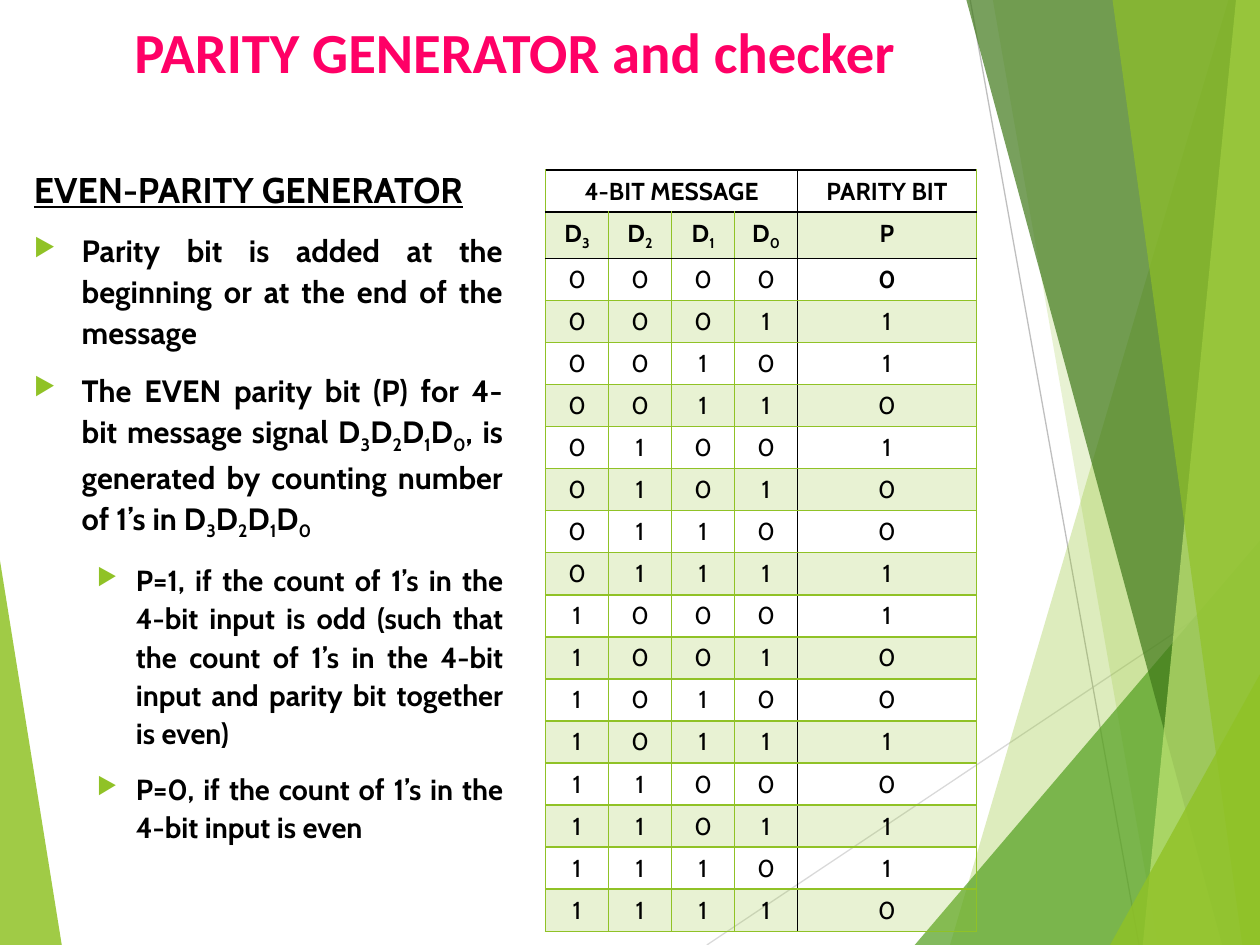
import itertools
from typing import NamedTuple

import pptx
import pptx.dml.color
import pptx.enum.shapes
import pptx.enum.text
import pptx.oxml
import pptx.oxml.ns
import pptx.util

Inches = pptx.util.Inches
Pt = pptx.util.Pt
RGBColor = pptx.dml.color.RGBColor
qn = pptx.oxml.ns.qn

LIME = RGBColor(0x90, 0xC2, 0x26)
PALE_LIME = RGBColor(0xC0, 0xE4, 0x74)
GREEN = RGBColor(0x54, 0xA0, 0x21)
DARK_GREEN = RGBColor(0x3F, 0x78, 0x19)
LIGHT_GRAY = RGBColor(0xD9, 0xD9, 0xD9)
GRAY = RGBColor(0xBF, 0xBF, 0xBF)
PINK = RGBColor(0xFF, 0x00, 0x66)
BLACK = RGBColor(0, 0, 0)

BODY_FONT = "Cabin"
BITS = 4
BLACK_ROW_EDGES = (0, 1, 2)
BLACK_COLUMN_EDGE = BITS


class Facet(NamedTuple):
    points: list[tuple[float, float]]
    color: RGBColor
    opacity: int


class Ray(NamedTuple):
    start: tuple[float, float]
    end: tuple[float, float]
    color: RGBColor


class Point(NamedTuple):
    text: str
    size: float
    level: int = 0
    indent: float = 0
    hanging: float = 0
    underline: bool = False


LEFT_FACET = Facet([(0, 4.45), (0.49, 7.5), (0, 7.5)], LIME, 85)
RAYS = [
    Ray((5.61, 7.5), (10, 4.57), LIGHT_GRAY),
    Ray((7.7, 0), (9.04, 7.5), GRAY),
]
RIGHT_FACETS = [
    Facet([(9.75, 0), (7.54, 7.5), (10, 7.5), (10, 0)], LIME, 30),
    Facet([(7.88, 0), (9.19, 7.5), (10, 7.5), (10, 0)], LIME, 20),
    Facet([(7.26, 7.5), (10, 4.29), (10, 7.5)], GREEN, 72),
    Facet([(7.67, 0), (9.7, 7.5), (10, 7.5), (10, 0)], DARK_GREEN, 70),
    Facet([(9.81, 0), (9.07, 7.5), (10, 7.5), (10, 0)], PALE_LIME, 70),
    Facet([(8.83, 0), (9.86, 7.5), (10, 7.5), (10, 0)], LIME, 65),
    Facet([(8.81, 7.5), (10, 5.35), (10, 7.5)], LIME, 80),
]

# An underscore sets the next character as a subscript.
POINTS = [
    Point("EVEN-PARITY GENERATOR", 20.4, underline=True),
    Point("Parity bit is added at the beginning or at the end of the message",
          17.6, 0, 0.38, 0.38),
    Point("The EVEN parity bit (P) for 4-bit message signal D_3D_2D_1D_0, is "
          "generated by counting number of 1’s in D_3D_2D_1D_0",
          17.6, 0, 0.38, 0.38),
    Point("P=1, if the count of 1’s in the 4-bit input is odd (such that the "
          "count of 1’s in the 4-bit input and parity bit together is even)",
          16.6, 1, 0.81, 0.31),
    Point("P=0, if the count of 1’s in the 4-bit input is even",
          16.6, 1, 0.81, 0.31),
]


def set_opacity(fill, percent: int) -> None:
    color = fill._xPr.find(qn("a:solidFill"))[0]
    pptx.oxml.ns  # namespace helpers are shared with the bullet code
    color.append(make_element(f'<a:alpha {{ns}} val="{percent * 1000}"/>'))


def make_element(markup: str):
    """Parse DrawingML markup, with {ns} standing for its namespace."""
    return pptx.oxml.parse_xml(markup.format(ns=pptx.oxml.ns.nsdecls("a")))


def add_facet(slide, facet: Facet) -> None:
    first, *rest = [(Inches(x), Inches(y)) for x, y in facet.points]
    builder = slide.shapes.build_freeform(*first)
    builder.add_line_segments(rest, close=True)
    outline = builder.convert_to_shape()
    outline.shadow.inherit = False
    outline.line.fill.background()
    outline.fill.solid()
    outline.fill.fore_color.rgb = facet.color
    set_opacity(outline.fill, facet.opacity)


def add_ray(slide, ray: Ray) -> None:
    connector = slide.shapes.add_connector(
        pptx.enum.shapes.MSO_CONNECTOR.STRAIGHT,
        *(Inches(value) for value in ray.start + ray.end))
    connector.line.color.rgb = ray.color
    connector.line.width = Pt(0.75)
    connector._element.spPr.append(make_element("<a:effectLst {ns}/>"))


def add_run(paragraph, text: str, size: float, bold: bool = True,
            color: RGBColor = BLACK, font: str = BODY_FONT):
    run = paragraph.add_run()
    run.text = text
    run.font.name = font
    run.font.size = Pt(size)
    run.font.bold = bold
    run.font.color.rgb = color
    return run


def add_marked_text(paragraph, text: str, size: float, bold: bool = True) -> None:
    """Add runs, lowering each character that follows an underscore."""
    plain, *marked = text.split("_")
    add_run(paragraph, plain, size, bold)
    for part in marked:
        subscript = add_run(paragraph, part[0], size, bold)
        subscript._r.get_or_add_rPr().set("baseline", "-25000")
        if part[1:]:
            add_run(paragraph, part[1:], size, bold)


def format_title(title) -> None:
    title.left, title.top = Inches(0.5), Inches(0.08)
    title.width, title.height = Inches(7.17), Inches(1.08)
    frame = title.text_frame
    frame.auto_size = pptx.enum.text.MSO_AUTO_SIZE.NONE
    frame.vertical_anchor = pptx.enum.text.MSO_ANCHOR.TOP
    heading = frame.paragraphs[0]
    heading.alignment = pptx.enum.text.PP_ALIGN.CENTER
    add_run(heading, "PARITY GENERATOR and checker", 32.4, True, PINK, "Calibri")


def add_point(paragraph, point: Point) -> None:
    paragraph.alignment = pptx.enum.text.PP_ALIGN.JUSTIFY
    paragraph.level = point.level
    paragraph.line_spacing = 1.1
    paragraph.space_before = Pt(10)
    add_marked_text(paragraph, point.text, point.size)
    if point.underline:
        paragraph.runs[0].font.underline = True
    if point.hanging:
        properties = paragraph._p.get_or_add_pPr()
        properties.set("marL", str(Inches(point.indent)))
        properties.set("indent", str(-Inches(point.hanging)))
        for markup in (f'<a:buClr {{ns}}><a:srgbClr val="{LIME}"/></a:buClr>',
                       '<a:buSzPct {ns} val="80000"/>',
                       '<a:buChar {ns} char="▶"/>'):
            properties.append(make_element(markup))


def add_explanation(slide) -> None:
    frame = slide.shapes.add_textbox(
        Inches(0.17), Inches(1.25), Inches(3.92), Inches(6.25)).text_frame
    frame.word_wrap = True
    for number, point in enumerate(POINTS):
        add_point(frame.add_paragraph() if number else frame.paragraphs[0], point)


def set_borders(cell, row: int, column: int) -> None:
    right = column + cell.span_width
    edges = {"L": column == BLACK_COLUMN_EDGE, "R": right == BLACK_COLUMN_EDGE,
             "T": row in BLACK_ROW_EDGES, "B": row + 1 in BLACK_ROW_EDGES}
    for side, is_black in edges.items():
        cell._tc.get_or_add_tcPr().append(make_element(
            f'<a:ln{side} {{ns}} w="{Pt(1)}"><a:solidFill><a:srgbClr '
            f'val="{BLACK if is_black else LIME}"/></a:solidFill></a:ln{side}>'))


def add_truth_table(slide) -> None:
    rows = [["4-BIT MESSAGE", "", "", "", "PARITY BIT"],
            ["D_3", "D_2", "D_1", "D_0", "P"]]
    for bits in itertools.product((0, 1), repeat=BITS):
        rows.append([str(bit) for bit in (*bits, sum(bits) % 2)])

    table = slide.shapes.add_table(len(rows), BITS + 1, Inches(4.33), Inches(1.35),
                                   Inches(3.42), Inches(6)).table
    table.first_row = table.horz_banding = False
    for column, width in zip(table.columns, [0.5] * BITS + [1.42]):
        column.width = Inches(width)
    table.cell(0, 0).merge(table.cell(0, BITS - 1))

    for row, texts in enumerate(rows):
        for column, text in enumerate(texts):
            cell = table.cell(row, column)
            if cell.is_spanned:
                continue
            set_borders(cell, row, column)
            if row % 2:
                cell.fill.solid()
                cell.fill.fore_color.rgb = LIME
                set_opacity(cell.fill, 20)
            else:
                cell.fill.background()
            paragraph = cell.text_frame.paragraphs[0]
            paragraph.alignment = pptx.enum.text.PP_ALIGN.CENTER
            is_bold = row < 2 or (row, column) == (2, BITS)
            add_marked_text(paragraph, text, 14, is_bold)


def main() -> None:
    deck = pptx.Presentation()
    deck.slide_width, deck.slide_height = Inches(10), Inches(7.5)
    slide = deck.slides.add_slide(deck.slide_layouts.get_by_name("Title Only"))
    add_facet(slide, LEFT_FACET)
    for ray in RAYS:
        add_ray(slide, ray)
    for facet in RIGHT_FACETS:
        add_facet(slide, facet)
    format_title(slide.shapes.title)
    add_explanation(slide)
    add_truth_table(slide)
    deck.save("out.pptx")


if __name__ == "__main__":
    main()
